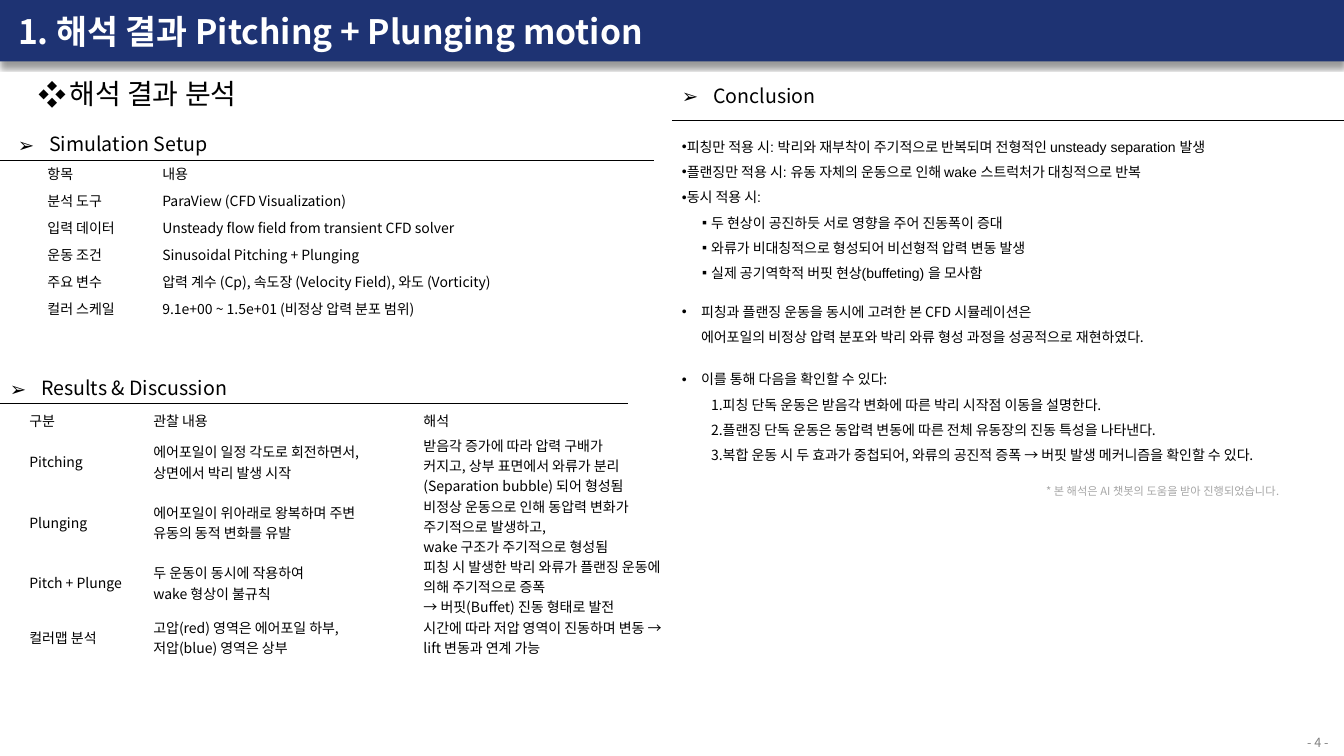
import dataclasses

import lxml.etree
import pptx
import pptx.dml.color
import pptx.enum.shapes
import pptx.enum.text
import pptx.oxml.ns
import pptx.util

qn = pptx.oxml.ns.qn
MID = pptx.enum.text.MSO_ANCHOR.MIDDLE
TOP = pptx.enum.text.MSO_ANCHOR.TOP
LEFT = pptx.enum.text.PP_ALIGN.LEFT
WIDE, HIGH = 13.33, 7.5


@dataclasses.dataclass(frozen=True)
class Theme:
    sans: str = "Noto Sans CJK KR"
    arial: str = "Arial"
    navy: str = "1E3373"
    white: str = "FFFFFF"
    black: str = "000000"
    gray: str = "808080"
    pale: str = "A6A6A6"
    title: int = 24
    topic: int = 20
    head: int = 14
    body: int = 10
    page: int = 9
    note: int = 8


T = Theme()

SETUP = [
    ["항목", "내용"],
    ["분석 도구", "ParaView (CFD Visualization)"],
    ["입력 데이터", "Unsteady flow field from transient CFD solver"],
    ["운동 조건", "Sinusoidal Pitching + Plunging"],
    ["주요 변수", "압력 계수 (Cp), 속도장 (Velocity Field), 와도 (Vorticity)"],
    ["컬러 스케일", "9.1e+00 ~ 1.5e+01 (비정상 압력 분포 범위)"],
]
RESULTS = [
    ["구분", "관찰 내용", "해석"],
    ["Pitching", "에어포일이 일정 각도로 회전하면서,\n상면에서 박리 발생 시작",
     "받음각 증가에 따라 압력 구배가\n커지고, 상부 표면에서 와류가 분리(Separation bubble) 되어 형성됨"],
    ["Plunging", "에어포일이 위아래로 왕복하며 주변\n유동의 동적 변화를 유발",
     "비정상 운동으로 인해 동압력 변화가 주기적으로 발생하고,\nwake 구조가 주기적으로 형성됨"],
    ["Pitch + Plunge", "두 운동이 동시에 작용하여\nwake 형상이 불규칙",
     "피칭 시 발생한 박리 와류가 플랜징 운동에 의해 주기적으로 증폭\n→ 버핏(Buffet) 진동 형태로 발전"],
    ["컬러맵 분석", "고압(red) 영역은 에어포일 하부,\n저압(blue) 영역은 상부",
     "시간에 따라 저압 영역이 진동하며 변동 → lift 변동과 연계 가능"],
]
# Bullet, left indent, first-line indent
DOT, SQUARE = ("•", 0, 0), ("▪", 0.29, -0.09)
POINT, STEP = ("•", 0.19, -0.19), ("1.", 0.2, 0.09)
CASES = [
    (DOT, "피칭만 적용 시: 박리와 재부착이 주기적으로 반복되며 전형적인 unsteady separation 발생"),
    (DOT, "플랜징만 적용 시: 유동 자체의 운동으로 인해 wake 스트럭처가 대칭적으로 반복"),
    (DOT, "동시 적용 시:"),
    (SQUARE, "두 현상이 공진하듯 서로 영향을 주어 진동폭이 증대"),
    (SQUARE, "와류가 비대칭적으로 형성되어 비선형적 압력 변동 발생"),
    (SQUARE, "실제 공기역학적 버핏 현상(buffeting) 을 모사함"),
]
CLAIMS = [
    (POINT, "피칭과 플랜징 운동을 동시에 고려한 본 CFD 시뮬레이션은\n"
            "에어포일의 비정상 압력 분포와 박리 와류 형성 과정을 성공적으로 재현하였다."),
    (POINT, "이를 통해 다음을 확인할 수 있다:"),
    (STEP, "피칭 단독 운동은 받음각 변화에 따른 박리 시작점 이동을 설명한다."),
    (STEP, "플랜징 단독 운동은 동압력 변동에 따른 전체 유동장의 진동 특성을 나타낸다."),
    (STEP, "복합 운동 시 두 효과가 중첩되어, 와류의 공진적 증폭 → 버핏 발생 메커니즘을 확인할 수 있다."),
]


def across(share):
    """Percent of the slide's width."""
    return pptx.util.Inches(WIDE * share / 100)


def down(share):
    """Percent of the slide's height."""
    return pptx.util.Inches(HIGH * share / 100)


def place(col, row, wide, high):
    return across(col), down(row), across(wide), down(high)


def rgb(code):
    return pptx.dml.color.RGBColor.from_string(code)


def node(parent, tag, **attrs):
    return lxml.etree.SubElement(parent, qn(tag), {k: str(v) for k, v in attrs.items()})


def write(para, text, size, color=T.black, font=T.sans, bold=False):
    """Add runs, with a line break at each newline."""
    for i, part in enumerate(text.split("\n")):
        if i:
            para.add_line_break()
        run = para.add_run()
        run.text = part
        run.font.size = pptx.util.Pt(size)
        run.font.bold = bold
        run.font.color.rgb = rgb(color)
        run.font.name = font
        node(run.font._element, "a:ea", typeface=T.sans)


def mark(para, style, font=T.sans):
    sign, left, first = style
    props = para._p.get_or_add_pPr()
    props.set("marL", str(pptx.util.Inches(left)))
    props.set("indent", str(pptx.util.Inches(first)))
    node(props, "a:buFont", typeface=font)
    if sign == "1.":
        node(props, "a:buAutoNum", type="arabicPeriod")
    else:
        node(props, "a:buChar", char=sign)


def frame(slide, spot, anchor=TOP):
    box = slide.shapes.add_textbox(*place(*spot)).text_frame
    box.word_wrap = True
    box.vertical_anchor = anchor
    return box


def label(slide, spot, text, size, sign):
    para = frame(slide, spot).paragraphs[0]
    mark(para, (sign, 0.31, -0.31))
    write(para, text, size)


def section(slide, text, col, row, rule, end):
    """Heading with a rule below it, from the column's edge to end."""
    label(slide, (col, row, 47, 4.53), text, T.head, "➢")
    line = slide.shapes.add_connector(
        pptx.enum.shapes.MSO_CONNECTOR.STRAIGHT,
        across(col // 50 * 50), down(rule), across(end), down(rule))
    line.line.color.rgb = rgb(T.black)
    line.line.width = pptx.util.Pt(0.75)
    node(line._element.spPr, "a:effectLst")


def points(slide, spot, items, font):
    box = frame(slide, spot)
    for i, (style, text) in enumerate(items):
        para = box.add_paragraph() if i else box.paragraphs[0]
        mark(para, style, T.arial)
        para.line_spacing = 1.5
        if i and style == POINT:
            para.space_before = pptx.util.Pt(12)
        write(para, text, T.body, font=font)


def grid(slide, col, row, cols, rows, data):
    spot = place(col, row, sum(cols), sum(rows))
    table = slide.shapes.add_table(len(rows), len(cols), *spot).table
    table.first_row = table.horz_banding = False
    for item, wide in zip(table.columns, cols):
        item.width = across(wide)
    for r, (line, high) in enumerate(zip(data, rows)):
        table.rows[r].height = down(high)
        for c, text in enumerate(line):
            cell = table.cell(r, c)
            cell.fill.background()
            cell.vertical_anchor = MID
            cell.margin_top = 0
            # Short cells in tall rows sit a little above the middle
            cell.margin_bottom = down(1) if high == 8 and c < 2 else 0
            for i, part in enumerate(text.split("\n")):
                box = cell.text_frame
                para = box.add_paragraph() if i else box.paragraphs[0]
                write(para, part, T.body)


def banner(slide, text):
    bar = slide.shapes.add_shape(
        pptx.enum.shapes.MSO_SHAPE.RECTANGLE, *place(0, -0.27, 100, 8.4))
    bar.fill.solid()
    bar.fill.fore_color.rgb = rgb(T.navy)
    bar.line.fill.background()
    glow = node(node(bar._element.spPr, "a:effectLst"), "a:outerShdw",
                blurRad=pptx.util.Pt(4), dist=pptx.util.Pt(3), dir=5400000,
                algn="t", rotWithShape=0)
    node(node(glow, "a:srgbClr", val=T.black), "a:alpha", val=40000)
    slide.shapes._spTree.insert(2, bar._element)
    title = slide.shapes.title
    title.left, title.top, title.width, title.height = place(0.6, 0, 86.65, 8.13)
    title.text_frame.vertical_anchor = MID
    title.text_frame.auto_size = pptx.enum.text.MSO_AUTO_SIZE.NONE
    para = title.text_frame.paragraphs[0]
    para.alignment = LEFT
    write(para, text, T.title, T.white, bold=True)


def main():
    deck = pptx.Presentation()
    deck.slide_width, deck.slide_height = across(100), down(100)
    slide = deck.slides.add_slide(deck.slide_layouts[5])
    banner(slide, "1. 해석 결과 Pitching + Plunging motion")
    label(slide, (2.1, 9.47, 60.3, 5.87), "해석 결과 분석", T.topic, "❖")

    grid(slide, 2.78, 21.2, [8.55, 34.65], [3.56] * 6, SETUP)
    section(slide, "Simulation Setup", 0.6, 16.8, 21.2, 48.7)
    grid(slide, 1.43, 53.6, [9.23, 20.1, 20.33], [4, 8, 8, 8, 5.33], RESULTS)
    section(slide, "Results & Discussion", 0, 49.07, 53.33, 46.7)

    section(slide, "Conclusion", 50, 10.4, 16, 100)
    points(slide, (50, 16.53, 43.65, 24.53), CASES, T.arial)
    points(slide, (50, 38.4, 48.2, 24.53), CLAIMS, T.sans)
    note = frame(slide, (77.1, 63.47, 22.9, 3.2))
    write(note.paragraphs[0], "* 본 해석은 AI 챗봇의 도움을 받아 진행되었습니다.", T.note, T.pale)

    page = frame(slide, (96.25, 96.53, 3.6, 3.33), MID)
    page.margin_left = page.margin_right = page.margin_top = page.margin_bottom = 0
    page.paragraphs[0].alignment = pptx.enum.text.PP_ALIGN.CENTER
    write(page.paragraphs[0], "- 4 -", T.page, T.gray)
    deck.save("out.pptx")


if __name__ == "__main__":
    main()
